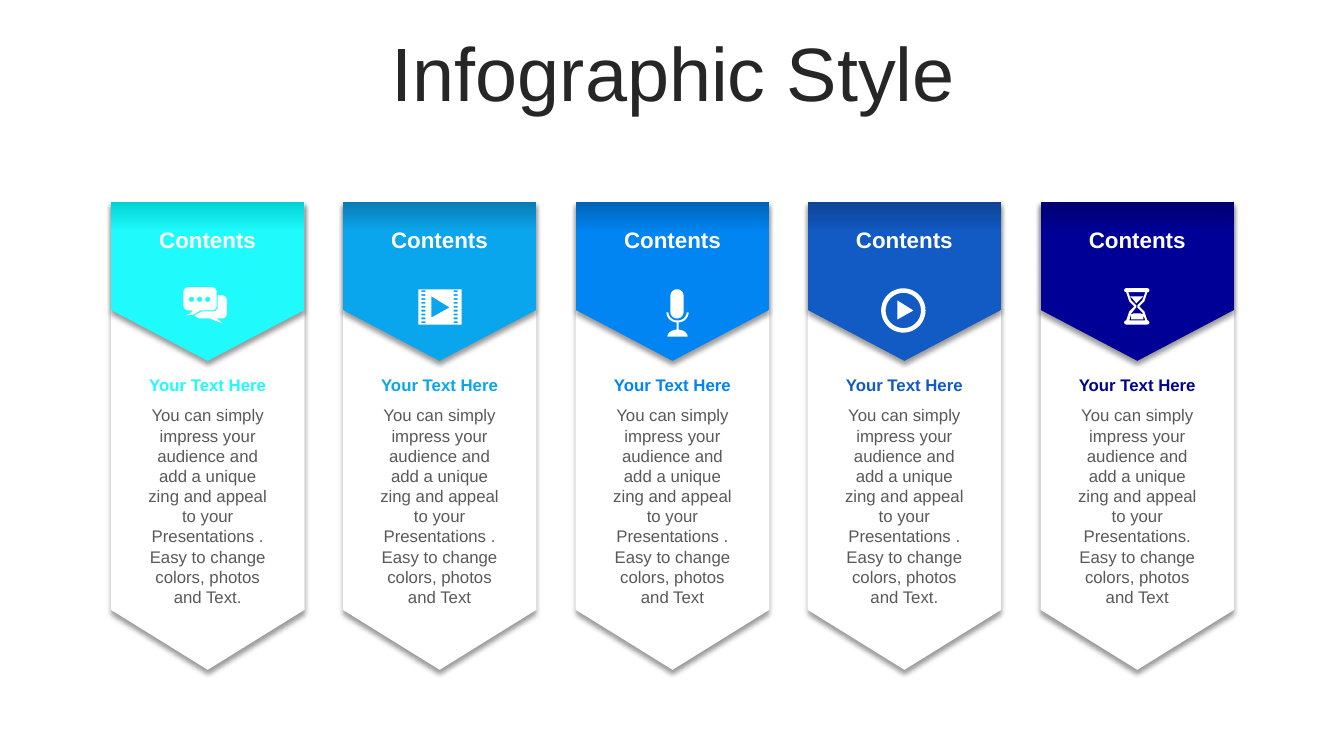
from dataclasses import dataclass
from math import cos, radians, sin

from lxml.etree import SubElement
from pptx import Presentation
from pptx.dml.color import RGBColor
from pptx.enum.shapes import MSO_SHAPE
from pptx.enum.text import MSO_ANCHOR, MSO_AUTO_SIZE, PP_ALIGN
from pptx.oxml.ns import qn
from pptx.shapes.autoshape import Shape
from pptx.slide import Slide
from pptx.util import Emu, Pt

Contour = list[tuple[float, float]]

EMU_PER_PX = 9144
FONT = "Arial"
COLORS = {
    "title": "262626", "body": "595959", "white": "FFFFFF", "shadow": "000000",
    "cyan": "1FFBFD", "cyan_dark": "02D1D3",
    "sky": "0AA6ED", "sky_dark": "087CB2",
    "azure": "0085F2", "azure_dark": "0064B5",
    "royal": "125AC4", "royal_dark": "0D4393",
    "navy": "000096", "navy_dark": "000070",
}
BODY = ("You can simply impress your audience and add a unique zing and appeal "
        "to your Presentations{} Easy to change colors, photos and Text{}")


@dataclass(frozen=True)
class Card:
    color: str
    icon: list[Contour]
    stop: str = " ."
    ending: str = ""


def px(n: float) -> Emu:
    return Emu(round(n * EMU_PER_PX))


def rgb(name: str) -> RGBColor:
    return RGBColor.from_string(COLORS[name])


def arc(x: float, y: float, rx: float, ry: float, start: int, end: int) -> Contour:
    steps = max(6, abs(end - start) // 8)
    angles = [radians(start + (end - start) * k / steps) for k in range(steps + 1)]
    return [(x + rx * cos(a), y + ry * sin(a)) for a in angles]


def circle(x: float, y: float, r: float) -> Contour:
    return arc(x, y, r, r, 0, 360)


def box(x: float, y: float, w: float, h: float) -> Contour:
    return [(x, y), (x + w, y), (x + w, y + h), (x, y + h)]


def rounded(x: float, y: float, w: float, h: float, r: float) -> Contour:
    return (arc(x + r, y + r, r, r, 180, 270)
            + arc(x + w - r, y + r, r, r, 270, 360)
            + arc(x + w - r, y + h - r, r, r, 0, 90)
            + arc(x + r, y + h - r, r, r, 90, 180))


CHAT = [
    rounded(-24, 285, 33, 23, 5),
    *[circle(x, 297, 2.6) for x in (-16, -8, 0)],
    [(-15, 308), (-7, 308), (-14, 312), (-22, 313), (-17, 311)],
    [(10, 293), *arc(14, 298, 5, 5, -90, 0), *arc(14, 311, 5, 5, 0, 90),
     (9, 316), (15, 321), (2, 316), (-9, 316), (-13, 313), (-6, 309),
     *arc(5, 304, 5, 5, 90, 0)],
]
FILM = [
    box(-21, 287, 43, 35),
    *[box(x, 288 + 3.85 * k, 4, 1.8) for k in range(9) for x in (-18, 14)],
    [(-8, 294), (10, 305), (-8, 315)],
]
MICROPHONE = [
    rounded(-2, 287, 13, 29, 6.5),
    arc(5, 310, 11, 10, 0, 180) + arc(5, 310, 9, 8, 180, 0),
    box(4, 320, 2, 7),
    arc(5, 334, 10, 7, 180, 360),
]
PLAY = [
    circle(-1, 308, 22),
    circle(-1, 308, 17.5),
    [(-7, 298), (9, 308), (-7, 317)],
]
HOURGLASS = [
    rounded(-13, 286, 25, 4, 2),
    rounded(-13, 318, 25, 4, 2),
    [(-11, 290), (-8, 299), (-3, 304), (-8, 309), (-11, 318),
     (10, 318), (7, 309), (2, 304), (7, 299), (10, 290)],
    [(-9, 290), (-6, 298), (-1, 303), (-1, 305), (-6, 311), (-8, 318),
     (8, 318), (5, 310), (0, 305), (0, 303), (5, 298), (8, 290)],
    [(-7, 294), (6, 294), (4, 296), (-1, 301), (-5, 296)],
    [(-6, 317), (-6, 312), (-4, 311), (3, 311), (6, 312), (6, 317)],
]
CARDS = [
    Card("cyan", CHAT, ending="."),
    Card("sky", FILM),
    Card("azure", MICROPHONE),
    Card("royal", PLAY, ending="."),
    Card("navy", HOURGLASS, stop="."),
]


def add_shadow(sp: Shape) -> None:
    sp.shadow.inherit = False
    effects = sp._element.spPr.find(qn("a:effectLst"))
    shadow = SubElement(effects, qn("a:outerShdw"), blurRad=str(Pt(4)),
                        dist=str(Pt(3)), dir="5400000", rotWithShape="0")
    color = SubElement(shadow, qn("a:srgbClr"), val=COLORS["shadow"])
    SubElement(color, qn("a:alpha"), val="40000")


def add_banner(s: Slide, center: int, middle: int, length: int, point: float) -> Shape:
    width = 192
    sp = s.shapes.add_shape(MSO_SHAPE.PENTAGON, px(center - length / 2),
                            px(middle - width / 2), px(length), px(width))
    sp.rotation = 90
    sp.adjustments[0] = point
    sp.line.fill.background()
    add_shadow(sp)
    return sp


def add_text(s: Slide, center: int, top: int, width: int, height: int, text: str,
             size: int, color: str, bold: bool = False) -> None:
    sp = s.shapes.add_textbox(px(center - width / 2), px(top), px(width), px(height))
    tf = sp.text_frame
    tf.word_wrap = True
    tf.text = text
    style_text(sp, size, color, bold)


def style_text(sp: Shape, size: int, color: str, bold: bool) -> None:
    p = sp.text_frame.paragraphs[0]
    p.alignment = PP_ALIGN.CENTER
    font = p.runs[0].font
    font.name, font.size, font.bold = FONT, Pt(size), bold
    font.color.rgb = rgb(color)


def add_icon(s: Slide, center: int, contours: list[Contour]) -> None:
    outlines = [[(px(center + x), px(y)) for x, y in c] for c in contours]
    builder = s.shapes.build_freeform(*outlines[0][0])
    for i, outline in enumerate(outlines):
        if i:
            builder.move_to(*outline[0])
        builder.add_line_segments(outline[1:], close=True)
    sp = builder.convert_to_shape()
    sp.shadow.inherit = False
    sp.fill.solid()
    sp.fill.fore_color.rgb = rgb("white")
    sp.line.fill.background()


def add_card(s: Slide, center: int, card: Card) -> None:
    panel = add_banner(s, center, 432, 465, 0.31)
    panel.fill.solid()
    panel.fill.fore_color.rgb = rgb("white")

    header = add_banner(s, center, 279, 158, 0.32)
    header.fill.gradient()
    header.fill.gradient_angle = 180
    stops = ((0.81, card.color), (1, f"{card.color}_dark"))
    for stop, (position, color) in zip(header.fill.gradient_stops, stops):
        stop.position = position
        stop.color.rgb = rgb(color)

    add_text(s, center, 219, 120, 37, "Contents", 16, "white", True)
    add_text(s, center, 367, 147, 30, "Your Text Here", 12, card.color, True)
    add_text(s, center, 397, 148, 212, BODY.format(card.stop, card.ending), 12, "body")
    add_icon(s, center, card.icon)


def add_title(s: Slide) -> None:
    sp = s.shapes.title
    sp.left, sp.top, sp.width, sp.height = px(35), px(37), px(1266), px(79)
    tf = sp.text_frame
    tf.text = "Infographic Style"
    tf.auto_size = MSO_AUTO_SIZE.NONE
    tf.vertical_anchor = MSO_ANCHOR.MIDDLE
    tf.paragraphs[0].line_spacing = 0.9
    style_text(sp, 54, "title", False)


def main() -> None:
    prs = Presentation()
    prs.slide_width, prs.slide_height = px(1333), px(750)
    s = prs.slides.add_slide(prs.slide_layouts[5])
    add_title(s)
    for i, card in enumerate(CARDS):
        add_card(s, 206 + 461 * i // 2, card)
    prs.save("out.pptx")


if __name__ == "__main__":
    main()
